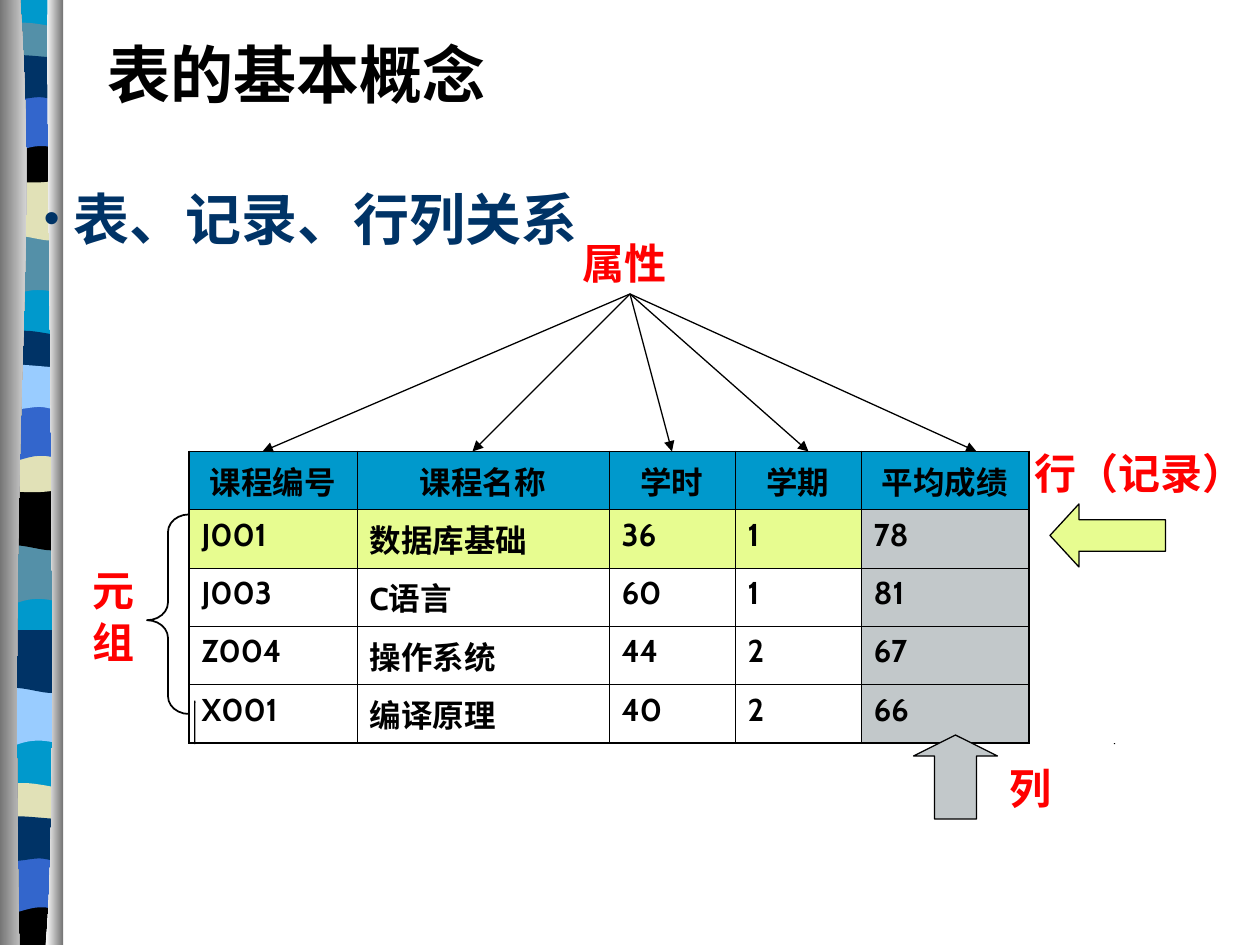
from dataclasses import dataclass

from lxml import etree
from pptx import Presentation
from pptx.dml.color import RGBColor
from pptx.enum.shapes import MSO_CONNECTOR, MSO_SHAPE
from pptx.enum.text import MSO_ANCHOR, MSO_AUTO_SIZE, PP_ALIGN
from pptx.oxml.ns import qn
from pptx.util import Pt

LEFT, CENTER = PP_ALIGN.LEFT, PP_ALIGN.CENTER
TOP, MIDDLE = MSO_ANCHOR.TOP, MSO_ANCHOR.MIDDLE
FIXED, GROW = MSO_AUTO_SIZE.NONE, MSO_AUTO_SIZE.SHAPE_TO_FIT_TEXT
STRAIGHT = MSO_CONNECTOR.STRAIGHT
RECTANGLE, BRACE = MSO_SHAPE.RECTANGLE, MSO_SHAPE.LEFT_BRACE
LEFT_ARROW, UP_ARROW = MSO_SHAPE.LEFT_ARROW, MSO_SHAPE.UP_ARROW


@dataclass(frozen=True)
class Theme:
    """Colours, fonts and type sizes of the slide."""
    black: str = "000000"
    white: str = "FFFFFF"
    navy: str = "003366"
    blue: str = "3366CC"
    cyan: str = "0099CC"
    teal: str = "5490A8"
    sand: str = "E1E1B7"
    sky: str = "99CCFF"
    red: str = "FF0000"
    lime: str = "E7FC90"
    silver: str = "C2C8CA"
    metal: str = "767676"
    body_font: str = "Cabin"
    heading_font: str = "Noto Sans CJK SC"
    label_font: str = "Times New Roman"
    column_font: str = "Arial"
    title: int = 36
    heading: int = 32
    label: int = 24
    cell: int = 18


THEME = Theme()
WAVES = {
    "base": [(34, 0), (34, 538.5), (0, 538.5), (0, 0)],
    "dip": [(34, 0), (34, 34), (11, 27, 6, 39, 0, 34), (0, 0)],
    "sag": [(34, 0), (34, 34), (28, 40, 11, 30, 0, 34), (0, 0)],
    "lens": [(34, 3.5), (34, 21), (28, 24, 6, 24, 0, 21), (0, 3.5),
             (2, 0, 7, 0.5, 13, 0.5), (19, 0.5, 30, 3, 34, 3.5)],
    "hollow": [(34, 0), (34, 24), (28, 27, 6, 27, 0, 24), (0, 0), (21, 3.5, 27, 0, 34, 0)],
    "arch": [(34, 0), (34, 34), (29, 29.5, 27, 29.5, 21, 29.5),
             (15, 29.5, 5, 34, 0, 34), (0, 0)],
    "wave": [(34, 3.5), (34, 26), (32, 29.5, 27, 26, 21, 26), (15, 26, 4, 29.5, 0, 26),
             (0, 3.5), (5, 0, 23, 3.5, 34, 3.5)],
    "foot": [(34, 0), (34, 27.4), (0, 27.4), (0, 0), (21, 3.5, 27, 0, 34, 0)],
}
BANDS = [
    (0, "base", THEME.cyan),
    (134, "dip", THEME.teal), (101.5, "sag", THEME.sand), (12.5, "lens", THEME.teal),
    (78, "hollow", THEME.black), (54, "arch", THEME.blue), (29.5, "wave", THEME.navy),
    (310.5, "dip", THEME.teal), (278.5, "sag", THEME.black), (188.5, "lens", THEME.navy),
    (255, "hollow", THEME.sand), (231, "arch", THEME.blue), (206.5, "wave", THEME.sky),
    (391.5, "dip", THEME.sky), (360, "sag", THEME.navy), (447, "lens", THEME.sand),
    (512.6, "foot", THEME.black), (489, "arch", THEME.blue), (464.5, "wave", THEME.navy),
]
COURSES = [
    ("课程编号", "课程名称", "学时", "学期", "平均成绩"),
    ("J001", "数据库基础", "36", "1", "78"),
    ("J003", "C语言", "60", "1", "81"),
    ("Z004", "操作系统", "44", "2", "67"),
    ("X001", "编译原理", "40", "2", "66"),
]
COLUMN_WIDTHS = (96, 144, 72, 72, 96)
TICKS = [(110.9, 400.3, 0.7, 1.4), (110.9, 401, 0.7, 23),
         (110.9, 424.6, 0.7, 0.7), (636.5, 424.6, 0.7, 0.7)]


def rgb(value):
    """Turn a hex string into a colour."""
    return RGBColor.from_string(value)


def format_para(para, font, size, color, align=LEFT):
    """Set alignment and bold type on a paragraph."""
    para.alignment = align
    for span in para.runs:
        span.font.name, span.font.size, span.font.bold = font, Pt(size), True
        span.font.color.rgb = rgb(color)


def paint(shape, fill=None, line=None, weight=0.75):
    """Give a shape a flat fill and outline without a shadow."""
    shape.shadow.inherit = False
    if fill:
        shape.fill.solid()
        shape.fill.fore_color.rgb = rgb(fill)
    else:
        shape.fill.background()
    if line:
        shape.line.color.rgb, shape.line.width = rgb(line), Pt(weight)
    else:
        shape.line.fill.background()


def add_preset(page, preset, box, adjustments=(), **colors):
    """Add a painted preset shape in a box."""
    shape = page.shapes.add_shape(preset, *map(Pt, box))
    for index, value in enumerate(adjustments):
        shape.adjustments[index] = value
    paint(shape, **colors)


def add_label(page, box, text, font, size, color, align=LEFT, anchor=TOP, wrap=True,
              before=0, fit=FIXED):
    """Add a one-paragraph text box and return it."""
    label = page.shapes.add_textbox(*map(Pt, box))
    frame = label.text_frame
    frame.text, frame.word_wrap, frame.vertical_anchor = text, wrap, anchor
    frame.auto_size = fit
    frame.paragraphs[0].space_before = Pt(before)
    format_para(frame.paragraphs[0], font, size, color, align)
    return label


def add_outline(page, left, top, steps):
    """Build a closed outline, turning each six-number step into a cubic curve."""
    points = [(Pt(left + step[i]), Pt(top + step[i + 1]))
              for step in steps for i in range(0, len(step), 2)]
    builder = page.shapes.build_freeform(*points[0])
    builder.add_line_segments(points[1:], close=True)
    shape = builder.convert_to_shape()
    segments = iter(list(shape._element.iter(qn("a:lnTo"))))
    for step in steps[1:]:
        first = next(segments)
        if len(step) == 6:
            first.tag = qn("a:cubicBezTo")
            for segment in (next(segments), next(segments)):
                first.append(segment[0])
                segment.getparent().remove(segment)
    return shape


def add_ribbon(page, box):
    """Draw the wavy colour ribbon between its two metal edges."""
    left, top, width, height = box
    for offset, wave, color in BANDS:
        paint(add_outline(page, left + 1.4, top + offset, WAVES[wave]), color)
    edges = [
        ([(11.5, 0), (22, 156, 5, 213, 11, height), (0, height), (0, 0)],
         THEME.metal, THEME.white),
        ([(27.4, 0), (26, 90, 34.6, 466, 26, height), (width, height), (width, 0)],
         THEME.white, THEME.metal),
    ]
    for steps, start, end in edges:
        edge = add_outline(page, left, top, steps)
        paint(edge, start)
        edge.fill.gradient()
        edge.fill.gradient_angle = 0
        for stop, color, position in zip(edge.fill.gradient_stops, (start, end), (0, 1)):
            stop.color.rgb, stop.position = rgb(color), position


def add_title(page, box):
    """Place and format the title."""
    title = page.shapes.title
    title.left, title.top, title.width, title.height = map(Pt, box)
    title.text_frame.text = "表的基本概念"
    title.text_frame.vertical_anchor = MIDDLE
    format_para(title.text_frame.paragraphs[0], THEME.body_font, THEME.title, THEME.black)


def add_heading(page, box):
    """Add the bulleted heading."""
    heading = add_label(page, box, "表、记录、行列关系", THEME.heading_font, THEME.heading,
                        THEME.navy, before=20)
    props = heading.text_frame.paragraphs[0]._p.get_or_add_pPr()
    props.set("marL", str(Pt(17)))
    props.set("indent", str(Pt(-17)))
    etree.SubElement(props, qn("a:buSzPct"), val="80000")
    etree.SubElement(props, qn("a:buFont"), typeface="Arial")
    etree.SubElement(props, qn("a:buChar"), char="•")


def set_borders(cell, weights):
    """Draw left, right, top and bottom borders of a cell."""
    props = cell._tc.get_or_add_tcPr()
    for index, (side, weight) in enumerate(zip("LRTB", weights)):
        line = etree.Element(qn(f"a:ln{side}"), w=str(Pt(weight)))
        fill = etree.SubElement(line, qn("a:solidFill"))
        etree.SubElement(fill, qn("a:srgbClr"), val=THEME.black)
        props.insert(index, line)


def add_course_table(page, box):
    """Add the course table with its header, row and column highlighted."""
    last_row, last_column = len(COURSES) - 1, len(COLUMN_WIDTHS) - 1
    table = page.shapes.add_table(len(COURSES), len(COLUMN_WIDTHS), *map(Pt, box)).table
    for column, width in zip(table.columns, COLUMN_WIDTHS):
        column.width = Pt(width)
    for r, record in enumerate(COURSES):
        table.rows[r].height = Pt(box[3] / len(COURSES))
        for c, value in enumerate(record):
            cell = table.cell(r, c)
            cell.text = value
            para = cell.text_frame.paragraphs[0]
            para.space_before, para.space_after = Pt(5.6), Pt(3.4)
            format_para(para, THEME.body_font, THEME.cell, THEME.black, LEFT if r else CENTER)
            color = (THEME.cyan if r == 0 else THEME.silver if c == last_column
                     else THEME.lime if r == 1 else None)
            if color:
                cell.fill.solid()
                cell.fill.fore_color.rgb = rgb(color)
            else:
                cell.fill.background()
            outer = (c == 0, c == last_column, r == 0, r == last_row)
            set_borders(cell, [1.08 if edge else 0.45 for edge in outer])


def add_attributes(page, box):
    """Label the attributes and point at each column of the table below."""
    add_label(page, box, "属性", THEME.label_font, THEME.label, THEME.red, CENTER, MIDDLE, False)
    for x in (384, 462, 558, 270, 150):
        arrow = page.shapes.add_connector(STRAIGHT, Pt(360), Pt(box[1] + box[3]), Pt(x), Pt(258))
        arrow.line.color.rgb, arrow.line.width = rgb(THEME.black), Pt(0.75)
        etree.SubElement(arrow.line._get_or_add_ln(), qn("a:tailEnd"), type="triangle")
        etree.SubElement(arrow._element.spPr, qn("a:effectLst"))


def add_tuples(page, box):
    """Add the brace over the records and its vertical label."""
    left, top, width, height = box
    label = add_label(page, (left, top + 24, 43, 90), "元 组", THEME.heading_font,
                      THEME.label, THEME.red, before=15, fit=GROW)
    frame = label.text_frame
    frame.margin_left = frame.margin_right = Pt(3.6)
    frame.margin_top = frame.margin_bottom = Pt(7.2)
    frame._txBody.bodyPr.set("vert", "eaVert")
    add_preset(page, BRACE, (left + width - 24, top, 24, height), (0.42, 0.53),
               line=THEME.black, weight=1)


def add_row_pointer(page, box):
    """Label the highlighted row with an arrow below the words."""
    left, top, width, height = box
    add_preset(page, LEFT_ARROW, (left, top + 36, 66, height - 36), (0.5, 0.46),
               fill=THEME.lime, line=THEME.black)
    add_label(page, (left + 6, top, width - 6, 36), "行（记录）", THEME.label_font,
              THEME.label, THEME.red, CENTER, MIDDLE, False)


def add_column_pointer(page, box):
    """Label the highlighted column with an arrow beside the word."""
    left, top, width, height = box
    add_preset(page, UP_ARROW, (left, top, 48, height), (0.5, 0.25),
               fill=THEME.silver, line=THEME.black)
    label = add_label(page, (left + 48, top + 18, width - 48, 30), "列", THEME.column_font,
                      THEME.label, THEME.red, before=15)
    label.text_frame.paragraphs[0].line_spacing = 0.8


def main():
    """Build the slide and save it."""
    deck = Presentation()
    deck.slide_width, deck.slide_height = Pt(720), Pt(540)
    page = deck.slides.add_slide(deck.slide_layouts[5])
    add_ribbon(page, (0, 0, 36, 540))
    add_title(page, (54, 18, 648, 48))
    for tick in TICKS:
        add_preset(page, RECTANGLE, tick, fill=THEME.black)
    add_tuples(page, (39, 294, 69, 114))
    add_course_table(page, (108, 258, 480, 156))
    add_attributes(page, (324, 132, 66, 36))
    add_row_pointer(page, (600, 252, 96, 72))
    add_column_pointer(page, (522, 420, 84, 48))
    add_heading(page, (18, 102, 654, 46))
    deck.save("out.pptx")


if __name__ == "__main__":
    main()
